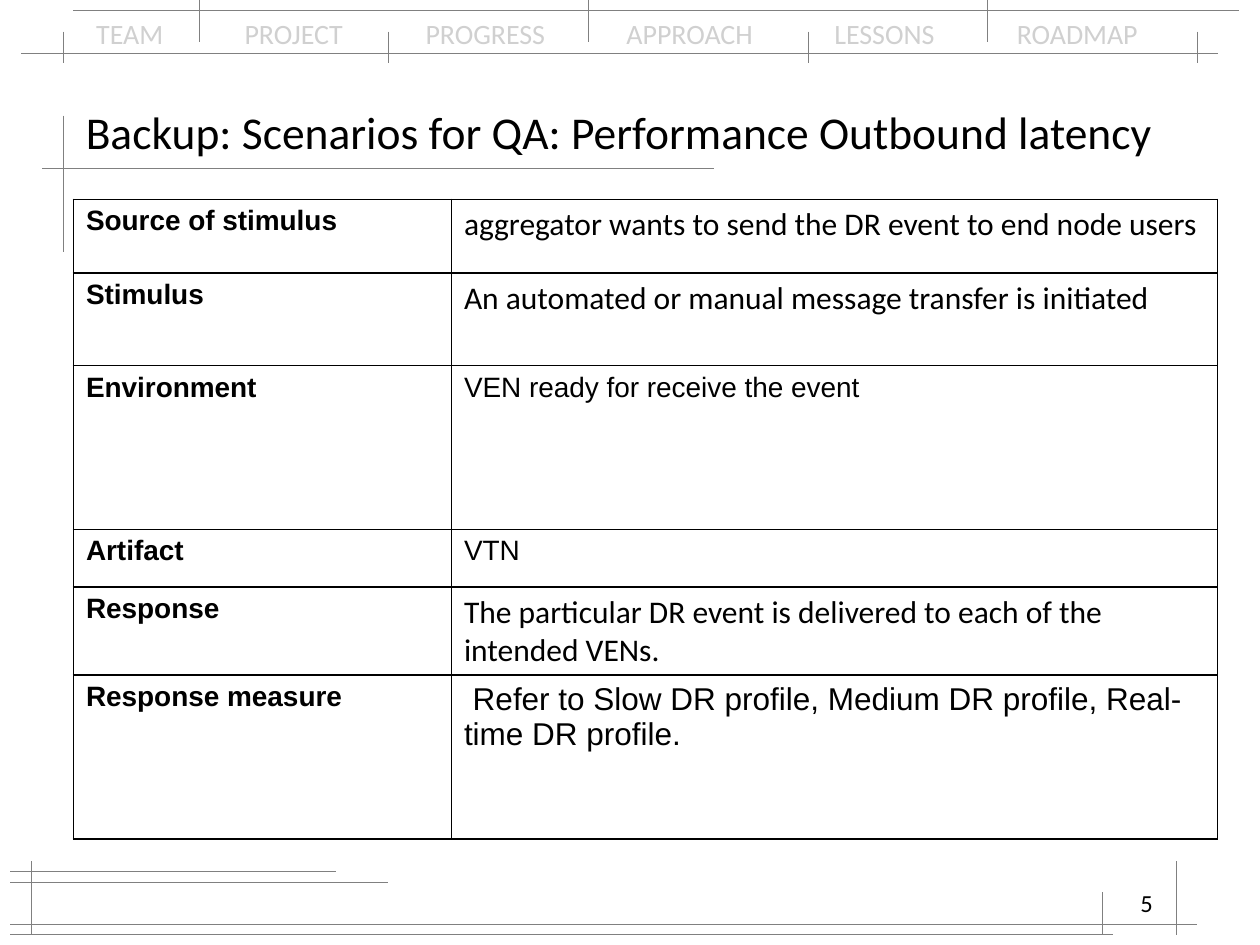
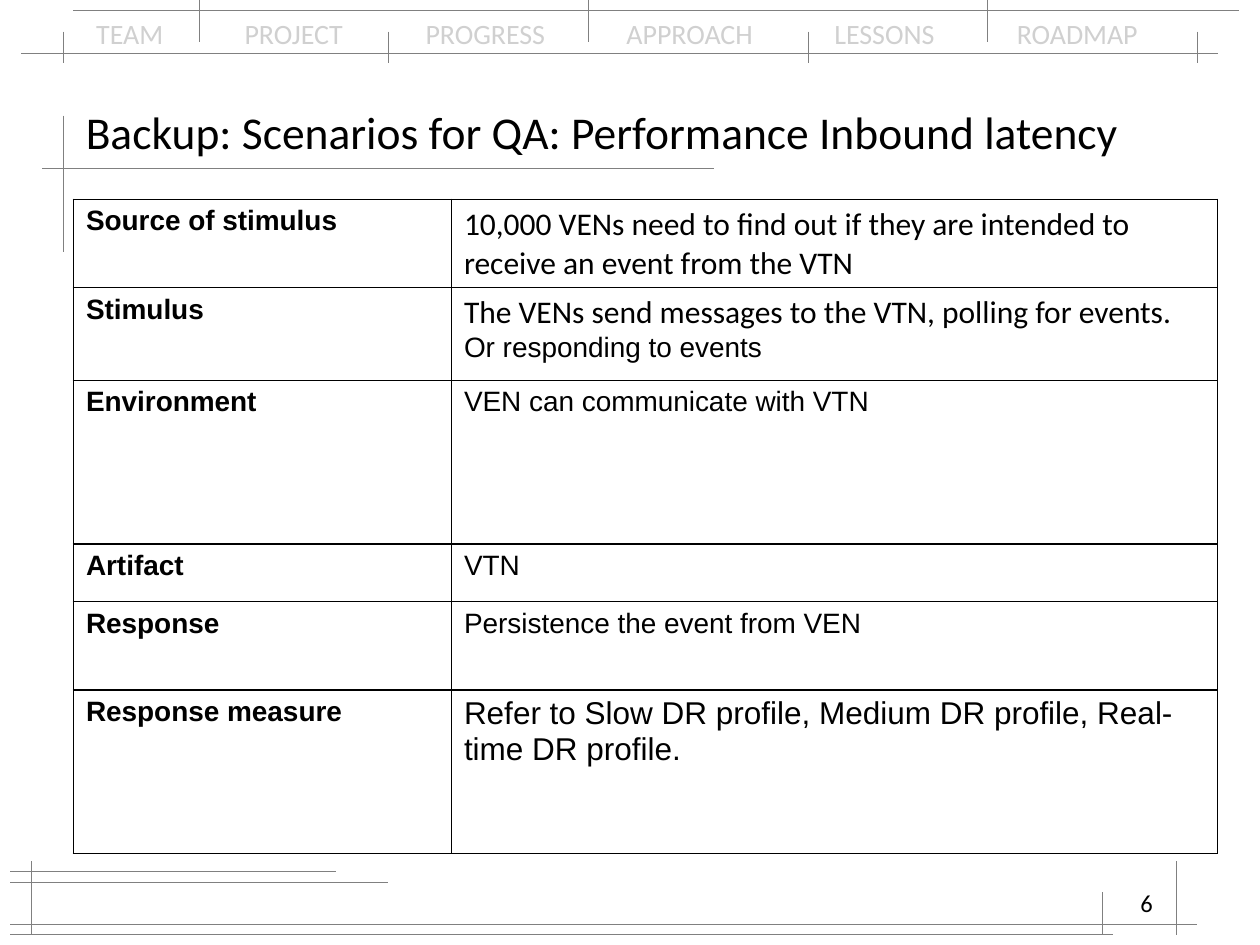
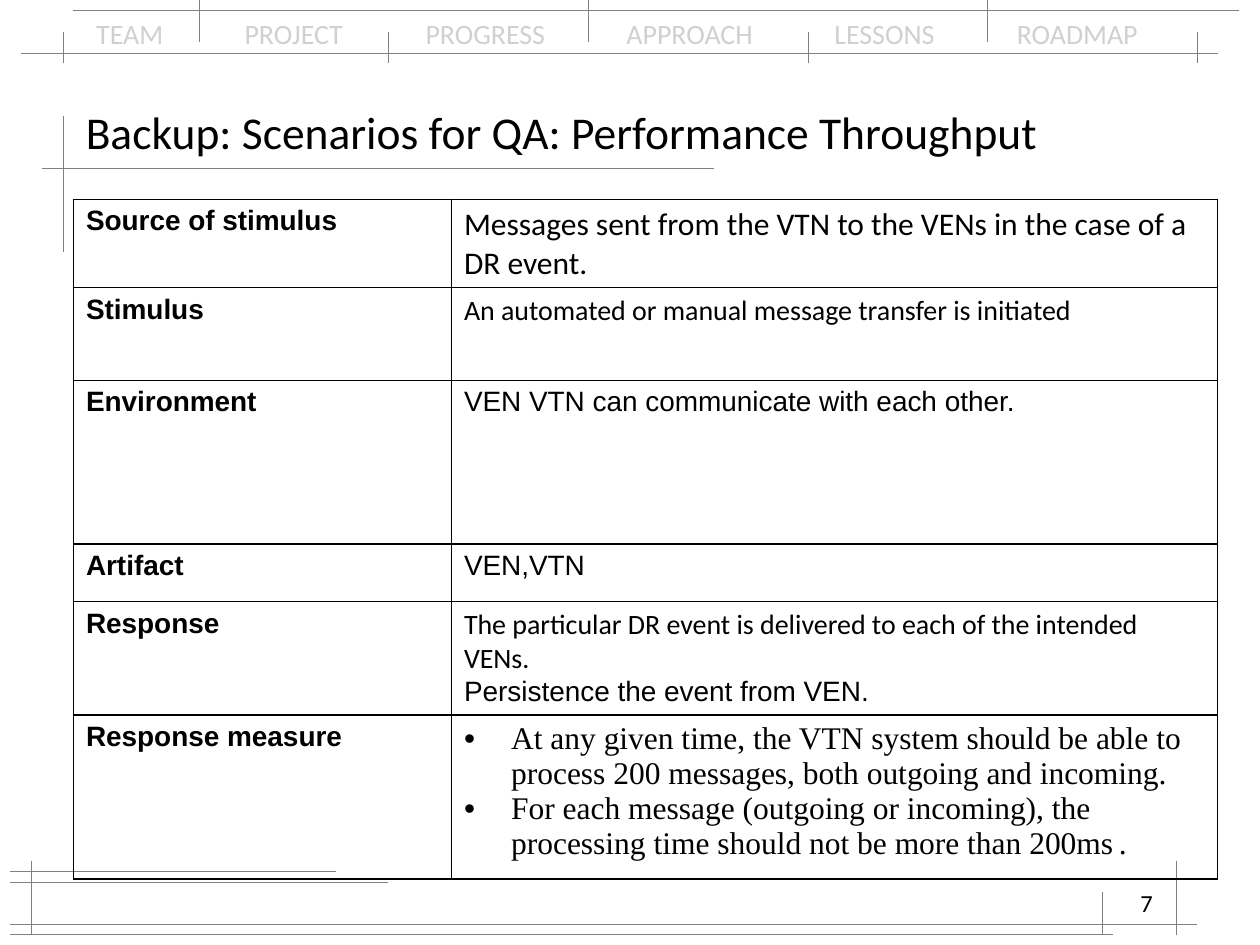
"""Builds three quality attribute scenario slides."""
from dataclasses import dataclass

from lxml import etree
from pptx import Presentation
from pptx.dml.color import RGBColor
from pptx.enum import shapes, text
from pptx.oxml import ns
from pptx.util import Cm, Pt


@dataclass(frozen=True)
class Theme:
    """Colours, fonts and type sizes of the deck."""
    ink: RGBColor = RGBColor(0x00, 0x00, 0x00)
    muted: RGBColor = RGBColor(0xD0, 0xD0, 0xD0)
    rule: RGBColor = RGBColor(0x80, 0x80, 0x80)
    heading: str = "Calibri"
    body: str = "Arial"
    serif: str = "Times New Roman"
    title_size: float = 26
    large_size: float = 18
    body_size: float = 16
    number_size: float = 14
    small_size: float = 11
    rule_width: float = 0.3
    border_width: float = 1


@dataclass(frozen=True)
class Box:
    """A region of the page in centimetres."""
    left: float
    top: float
    width: float
    height: float

    def inner(self, left, top, width, height):
        """Return a box placed relative to this one."""
        return Box(self.left + left, self.top + top, width, height)

    def lengths(self):
        """Return the four sides as lengths."""
        return [Cm(side) for side in (self.left, self.top, self.width, self.height)]


@dataclass(frozen=True)
class Entry:
    """A paragraph of a table cell, with optional resized ending spans."""
    words: str
    font: str = Theme.body
    size: float = Theme.body_size
    bullet: bool = False
    ending: tuple = ()


THEME = Theme()
PAGE = Box(0, 0, 25.4, 19.05)
NAVIGATION = Box(0, 0, 25.4, 1.27)
HEADER = Box(0.85, 1.9, 23.06, 3.18)
FOOTER = Box(0.21, 17.36, 23.92, 1.69)
SCENARIO = Box(1.48, 4.02, 23.06, 12.9)

SECTIONS = ("TEAM", "PROJECT", "PROGRESS", "APPROACH", "LESSONS", "ROADMAP")
SECTION_STOPS = (2.99, 6.64, 10.69, 14.88, 18.56)
LABELS = ("Source of stimulus", "Stimulus", "Environment",
          "Artifact", "Response", "Response measure")
COLUMN_WIDTHS = (7.62, 15.44)
ROW_HEIGHTS = (1.48, 1.87, 3.3, 1.16, 1.78, 3.3)
BULLET_INDENT = 0.95


def heading_entry(words, size=THEME.large_size):
    """Return an entry in the heading font."""
    return Entry(words, THEME.heading, size)


def bullet_entry(words, ending=()):
    """Return a bulleted entry in the serif font."""
    return Entry(words, THEME.serif, THEME.large_size, True, ending)


INITIATED = "An automated or manual message transfer is initiated"
DELIVERED = "The particular DR event is delivered to each of the intended VENs."
PROFILES = "Refer to Slow DR profile, Medium DR profile, Real-time DR profile."

SCENARIOS = (
    ("Outbound latency", (
        [heading_entry("aggregator wants to send the DR event to end node users")],
        [heading_entry(INITIATED)],
        [Entry("VEN ready for receive the event")],
        [Entry("VTN")],
        [heading_entry(DELIVERED)],
        [Entry(" " + PROFILES, size=THEME.large_size)],
    )),
    ("Inbound latency", (
        [heading_entry("10,000 VENs need to find out if they are intended to "
                       "receive an event from the VTN")],
        [heading_entry("The VENs send messages to the VTN, polling for events."),
         Entry("Or responding to events")],
        [Entry("VEN can communicate with VTN")],
        [Entry("VTN")],
        [Entry("Persistence the event from VEN")],
        [Entry(PROFILES, size=THEME.large_size)],
    )),
    ("Throughput", (
        [heading_entry("Messages sent from the VTN to the VENs in the case of a DR event.")],
        [heading_entry(INITIATED, THEME.body_size)],
        [Entry("VEN VTN can communicate with each other.")],
        [Entry("VEN,VTN")],
        [heading_entry(DELIVERED, THEME.body_size),
         Entry("Persistence the event from VEN.")],
        [bullet_entry("At any given time, the VTN system should be able to process "
                      "200 messages, both outgoing and incoming."),
         bullet_entry("For each message (outgoing or incoming), the processing time "
                      "should not be more than 200ms",
                      ((" ", THEME.small_size), (".", THEME.large_size)))],
    )),
)


def style(para, font, size, color=THEME.ink, bold=False):
    """Set the font of a paragraph."""
    para.font.name = font
    para.font.size = Pt(size)
    para.font.color.rgb = color
    para.font.bold = bold


def add_text(page, box, words, size, color=THEME.ink, anchor=text.MSO_ANCHOR.TOP):
    """Add a one-paragraph text box and return its paragraph."""
    frame = page.shapes.add_textbox(*box.lengths()).text_frame
    frame.word_wrap = True
    frame.vertical_anchor = anchor
    para = frame.paragraphs[0]
    para.text = words
    return para, lambda: style(para, THEME.heading, size, color)


def add_rules(page, box, across=(), down=()):
    """Draw level rules (y, from, to) and upright rules (x, from, to)."""
    ends = [(start, y, end, y) for y, start, end in across]
    ends += [(x, start, x, end) for x, start, end in down]
    for x1, y1, x2, y2 in ends:
        rule = page.shapes.add_connector(
            shapes.MSO_CONNECTOR.STRAIGHT,
            Cm(box.left + x1), Cm(box.top + y1), Cm(box.left + x2), Cm(box.top + y2))
        rule.line.color.rgb = THEME.rule
        rule.line.width = Pt(THEME.rule_width)
        etree.SubElement(rule._element.spPr, ns.qn("a:effectLst"))


def add_navigation(page, box):
    """Add the section names with the rules around them."""
    para, finish = add_text(page, box.inner(1.69, 0.21, 22.01, 0.94),
                            "\t".join(SECTIONS), THEME.body_size, THEME.muted)
    stops = etree.SubElement(para._p.get_or_add_pPr(), ns.qn("a:tabLst"))
    for stop in SECTION_STOPS:
        etree.SubElement(stops, ns.qn("a:tab"), pos=str(Cm(stop)), algn="l")
    finish()
    low_ticks = [(x, 0.64, box.height) for x in (1.27, 7.83, 16.3, 24.13)]
    high_ticks = [(x, 0, 0.85) for x in (4.02, 11.85, 19.9)]
    add_rules(page, box, ((1.07, 0.43, 24.55), (0.21, 1.48, 24.98)),
              low_ticks + high_ticks)


def add_header(page, box, title):
    """Add the title and its crossed rules."""
    add_rules(page, box, [(1.49, 0, 13.55)], [(0.42, 0.43, box.height)])
    finish = add_text(page, box.inner(0.63, 0, 22.43, 1.48), title,
                      THEME.title_size, anchor=text.MSO_ANCHOR.MIDDLE)[1]
    finish()


def add_footer(page, box, number):
    """Add the page number and the rules at the foot."""
    add_rules(page, box,
              ((0.21, 0, 6.56), (0.42, 0, 7.62), (1.27, 0, box.width), (1.48, 0, 22.23)),
              ((0.43, 0, 1.48), (22.02, 0.63, 1.48), (23.5, 0, 1.48)))
    para, finish = add_text(page, box.inner(17.99, 0.42, 5.29, 1.27),
                            str(number), THEME.number_size)
    para.alignment = text.PP_ALIGN.RIGHT
    finish()


def add_bullet(para):
    """Give a paragraph a hanging bullet."""
    properties = para._p.get_or_add_pPr()
    properties.set("marL", str(Cm(BULLET_INDENT)))
    properties.set("indent", str(-Cm(BULLET_INDENT)))
    etree.SubElement(properties, ns.qn("a:buFont"), typeface=THEME.body)
    etree.SubElement(properties, ns.qn("a:buChar"), char="•")


def add_borders(cell):
    """Draw all four borders of a cell."""
    properties = cell._tc.get_or_add_tcPr()
    for place, side in enumerate(("lnL", "lnR", "lnT", "lnB")):
        border = etree.Element(ns.qn(f"a:{side}"), w=str(Pt(THEME.border_width)))
        fill = etree.SubElement(border, ns.qn("a:solidFill"))
        etree.SubElement(fill, ns.qn("a:srgbClr"), val=str(THEME.ink))
        properties.insert(place, border)


def fill_cell(cell, entries, bold=False):
    """Write the entries into an unfilled, bordered cell."""
    cell.fill.background()
    add_borders(cell)
    frame = cell.text_frame
    for index, entry in enumerate(entries):
        para = frame.add_paragraph() if index else frame.paragraphs[0]
        para.text = entry.words
        for words, size in entry.ending:
            span = para.add_run()
            span.text = words
            span.font.size = Pt(size)
        if entry.bullet:
            add_bullet(para)
        style(para, entry.font, entry.size, bold=bold)


def add_scenario(page, box, answers):
    """Add the table of labels and answers."""
    table = page.shapes.add_table(len(LABELS), len(COLUMN_WIDTHS), *box.lengths()).table
    table.first_row = False
    table.horz_banding = False
    for column, width in zip(table.columns, COLUMN_WIDTHS):
        column.width = Cm(width)
    for row, height, label, entries in zip(table.rows, ROW_HEIGHTS, LABELS, answers):
        row.height = Cm(height)
        fill_cell(row.cells[0], [Entry(label)], bold=True)
        fill_cell(row.cells[1], entries)


def main():
    """Build and save the deck."""
    deck = Presentation()
    deck.slide_width, deck.slide_height = Cm(PAGE.width), Cm(PAGE.height)
    for number, (quality, answers) in enumerate(SCENARIOS, start=5):
        page = deck.slides.add_slide(deck.slide_layouts[6])
        add_navigation(page, NAVIGATION)
        add_header(page, HEADER, f"Backup: Scenarios for QA: Performance {quality}")
        add_footer(page, FOOTER, number)
        add_scenario(page, SCENARIO, answers)
    deck.save("out.pptx")


if __name__ == "__main__":
    main()
